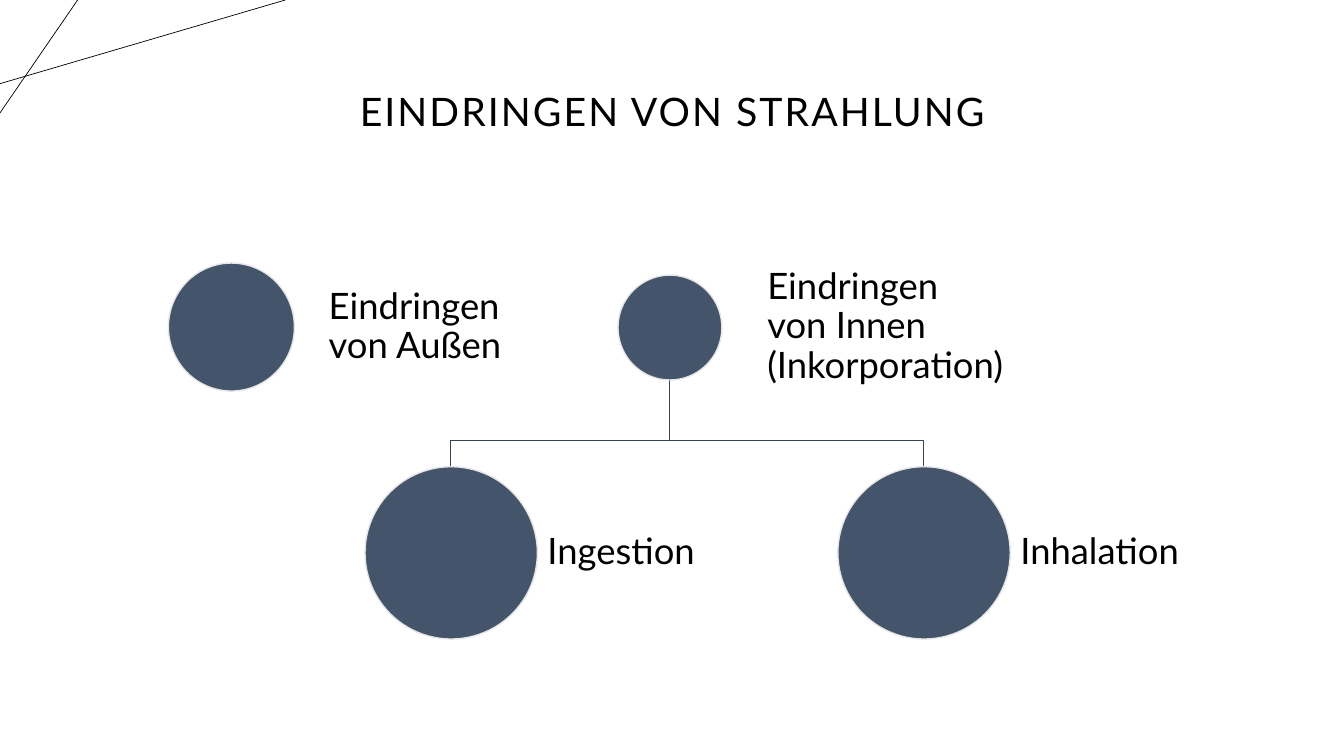
from pptx import Presentation
from pptx.dml.color import RGBColor
from pptx.enum import shapes, text
from pptx.oxml.ns import qn
from pptx.util import Inches, Pt


class Theme:
    font = "Lato"
    ink = RGBColor.from_string("000000")
    disc = RGBColor.from_string("44546A")
    rim = RGBColor.from_string("E7E6E6")
    branch = RGBColor.from_string("364355")
    title_size = Pt(28)
    label_size = Pt(26)
    thin = Pt(0.5)
    line = Pt(1)


deck = Presentation()
deck.slide_width, deck.slide_height = Inches(13.33), Inches(7.5)
slide = deck.slides.add_slide(deck.slide_layouts[6])


def add_text(lines, left, top, width, height, size=Theme.label_size,
             align=text.PP_ALIGN.LEFT, inset=0.11, tracking=0):
    box = slide.shapes.add_textbox(Inches(left), Inches(top), Inches(width), Inches(height))
    frame = box.text_frame
    frame.word_wrap = True
    frame.vertical_anchor = text.MSO_ANCHOR.MIDDLE
    frame.margin_left = frame.margin_right = Inches(inset)
    frame.margin_top = frame.margin_bottom = Inches(inset)
    paragraph = frame.paragraphs[0]
    paragraph.alignment = align
    paragraph.line_spacing = 0.9
    for index, wording in enumerate(lines):
        if index:
            paragraph.add_line_break()
        run = paragraph.add_run()
        run.text = wording
        run.font.name = Theme.font
        run.font.size = size
        run.font.color.rgb = Theme.ink
        if tracking:
            run.font._element.set("spc", str(int(tracking * 100)))


for x1, y1, x2, y2 in [(0, 0.83, 2.83, 0), (0.77, 0, 0, 1.12)]:
    corner_line = slide.shapes.add_connector(
        shapes.MSO_CONNECTOR.STRAIGHT, Inches(x1), Inches(y1), Inches(x2), Inches(y2))
    corner_line.line.color.rgb = Theme.ink
    corner_line.line.width = Theme.thin
    properties = corner_line._element.spPr
    properties.append(properties.makeelement(qn("a:effectLst"), {}))

add_text(["EINDRINGEN VON STRAHLUNG"], 0.92, 0.4, 11.5, 1.45, size=Theme.title_size,
         align=text.PP_ALIGN.CENTER, inset=0.1, tracking=1.5)

parent_x, parent_bottom, fork_y, child_top = 6.64, 3.77, 4.37, 4.63
for child_x in (9.16, 4.47):
    outline = slide.shapes.build_freeform(Inches(parent_x), Inches(parent_bottom))
    outline.add_line_segments(
        [(Inches(x), Inches(y)) for x, y in
         [(parent_x, fork_y), (child_x, fork_y), (child_x, child_top)]], close=False)
    branch = outline.convert_to_shape()
    branch.shadow.inherit = False
    branch.fill.background()
    branch.line.color.rgb = Theme.branch
    branch.line.width = Theme.line

label_width, label_height = 2.65, 1.71
pathways = [
    (["Eindringen", "von Außen"], 1.67, 2.61, 1.25, 1.27, 3.15, 2.39),
    (["Eindringen", "von Innen", "(Inkorporation)"], 6.13, 2.73, 1.03, 1.04, 7.5, 2.39),
    (["Ingestion"], 3.62, child_top, 1.71, 1.71, 5.32, child_top),
    (["Inhalation"], 8.31, child_top, 1.71, 1.71, 10.01, child_top),
]
for lines, left, top, width, height, label_left, label_top in pathways:
    disc = slide.shapes.add_shape(
        shapes.MSO_SHAPE.OVAL, Inches(left), Inches(top), Inches(width), Inches(height))
    disc.shadow.inherit = False
    disc.fill.solid()
    disc.fill.fore_color.rgb = Theme.disc
    disc.line.color.rgb = Theme.rim
    disc.line.width = Theme.line
    add_text(lines, label_left, label_top, label_width, label_height)

deck.save("out.pptx")
